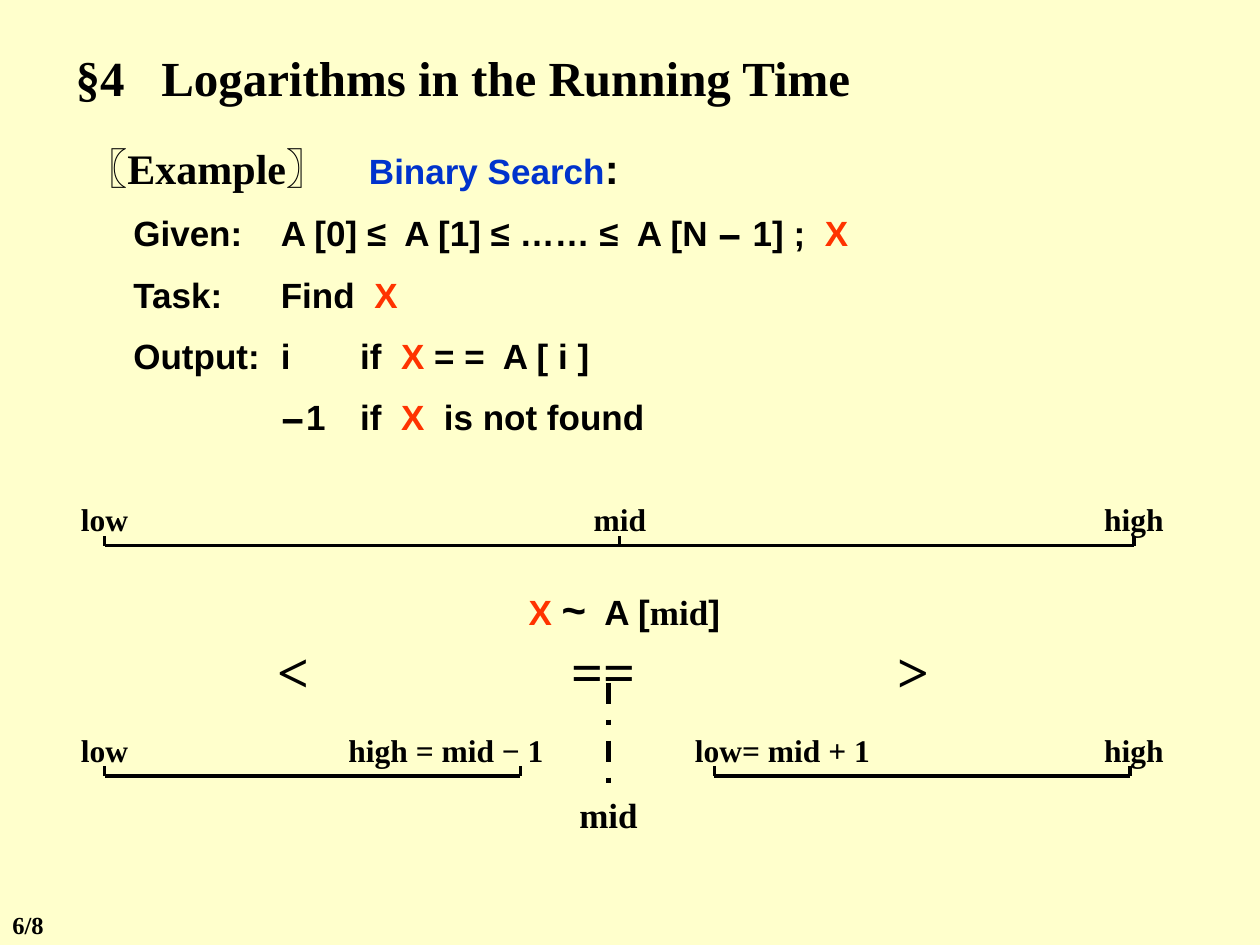
import pptx
import pptx.util
import pptx.dml.color
import pptx.enum.dml
import pptx.enum.shapes
import pptx.enum.text
import pptx.oxml.ns
import lxml.etree

Inches = pptx.util.Inches
Pt = pptx.util.Pt
ALIGN = pptx.enum.text.PP_ALIGN
COLORS = {"paper": "FFFFCC", "ink": "000000", "topic": "0033CC", "key": "FF3300"}
SERIF, SANS, MATH = "Times New Roman", "Arial", "TeX Gyre Adventor"


def rgb(name):
    return pptx.dml.color.RGBColor.from_string(COLORS[name])


def set_tabs(paragraph, stops):
    properties = paragraph._p.get_or_add_pPr()
    tab_list = lxml.etree.SubElement(properties, pptx.oxml.ns.qn("a:tabLst"))
    for stop in stops:
        tab = lxml.etree.SubElement(tab_list, pptx.oxml.ns.qn("a:tab"))
        tab.set("pos", str(Inches(stop)))
        tab.set("algn", "l")


def add_runs(paragraph, pieces):
    for text, size, font, color in pieces:
        run = paragraph.add_run()
        run.text = text
        run.font.size = Pt(size)
        run.font.name = font
        run.font.bold = True
        run.font.color.rgb = rgb(color)


def format_frame(frame, side_inset):
    frame.word_wrap = True
    frame.auto_size = pptx.enum.text.MSO_AUTO_SIZE.NONE
    frame.vertical_anchor = pptx.enum.text.MSO_ANCHOR.TOP
    frame.margin_left = frame.margin_right = Inches(side_inset)
    frame.margin_top = frame.margin_bottom = Inches(0.05)


def add_text(shapes, box, pieces, align=ALIGN.CENTER, side_inset=0):
    frame = shapes.add_textbox(*map(Inches, box)).text_frame
    format_frame(frame, side_inset)
    frame.paragraphs[0].alignment = align
    add_runs(frame.paragraphs[0], pieces)
    return frame


def add_line(shapes, start, end, width=2):
    line = shapes.add_connector(pptx.enum.shapes.MSO_CONNECTOR.STRAIGHT,
                                *map(Inches, (*start, *end)))
    line.line.color.rgb = rgb("ink")
    line.line.width = Pt(width)
    lxml.etree.SubElement(line._element.spPr, pptx.oxml.ns.qn("a:effectLst"))
    return line


def build_title(slide, box):
    title = slide.shapes.title
    title.left, title.top, title.width, title.height = map(Inches, box)
    format_frame(title.text_frame, 0.1)
    heading = title.text_frame.paragraphs[0]
    heading.alignment = ALIGN.LEFT
    set_tabs(heading, [0.68])
    add_runs(heading, [("§4\tLogarithms in the Running Time", 28, SERIF, "ink")])


def build_problem(slide, box):
    def sans(text, color="ink"):
        return text, 20, SANS, color

    minus = ("−", 20, MATH, "ink")
    target = sans("X", "key")
    frame = add_text(slide.shapes, box, [
        ("〖Example〗\t", 24, SERIF, "ink"),
        sans("Binary Search", "topic"),
        (":", 24, SANS, "ink"),
    ], ALIGN.LEFT, 0.1)
    set_tabs(frame.paragraphs[0], [2.25])
    statements = [
        [sans("\tGiven:\tA [0] ≤  A [1] ≤ …… ≤  A [N "), minus, sans(" 1] ;  "), target],
        [sans("\tTask:\tFind  "), target],
        [sans("\tOutput:\ti\tif  "), sans("X ", "key"), sans("= =  A [ i ]")],
        [sans("\t\t"), minus, sans("1\tif  "), target, sans("  is not found")],
    ]
    for pieces in statements:
        statement = frame.add_paragraph()
        statement.space_before = Pt(11)
        set_tabs(statement, [0.38, 1.55, 2.18])
        add_runs(statement, pieces)


def build_range(slide, left, top, width, marks):
    shapes = slide.shapes.add_group_shape().shapes
    baseline = top + 0.41
    add_line(shapes, (left, baseline), (left + width, baseline))
    for text, tick, label_center, label_width in marks:
        x = left + tick * width
        add_line(shapes, (x, baseline), (x, baseline - 0.08))
        add_text(shapes, (left + label_center - label_width / 2, top, label_width, 0.4),
                 [(text, 18, SERIF, "ink")])


def build_comparison(slide, left, top):
    add_text(slide.shapes, (left + 1.25, top, 3.75, 0.5), [
        ("X ", 20, SANS, "key"),
        ("~", 24, SANS, "ink"),
        ("  A [", 20, SANS, "ink"),
        ("mid", 20, SERIF, "ink"),
        ("]", 20, SANS, "ink"),
    ])
    for index, sign in enumerate(("<", "==", ">")):
        add_text(slide.shapes, (left + index * 2.46, top + 0.42, 1, 0.63),
                 [(sign, 32, SERIF, "ink")])
    found_x = left + 3
    link = add_line(slide.shapes, (found_x, top + 0.84), (found_x, top + 1.67), 3)
    link.line.dash_style = pptx.enum.dml.MSO_LINE.DASH_DOT
    add_text(slide.shapes, (found_x - 0.5, top + 1.67, 1, 0.43),
             [("mid", 20, SERIF, "ink")])


def build_page_number(slide, box):
    add_text(slide.shapes, box, [("6/8", 14, SERIF, "ink")], ALIGN.LEFT, 0.1)


presentation = pptx.Presentation()
presentation.slide_width = Inches(10)
presentation.slide_height = Inches(7.5)
slide = presentation.slides.add_slide(presentation.slide_layouts[5])
slide.background.fill.solid()
slide.background.fill.fore_color.rgb = rgb("paper")

build_title(slide, (0.5, 0.33, 7.17, 0.57))
build_problem(slide, (0.58, 1.08, 6.58, 2.6))
build_range(slide, 0.83, 3.92, 8.17, [
    ("low", 0, 0, 0.67), ("mid", 0.5, 4.09, 0.75), ("high", 1, 8.17, 0.67)])
build_comparison(slide, 1.83, 4.58)
build_range(slide, 0.83, 5.75, 3.3, [
    ("low", 0, 0, 0.67), ("high = mid − 1", 1, 2.71, 2.08)])
build_range(slide, 5.67, 5.75, 3.3, [
    ("low= mid + 1", 0, 0.54, 2.08), ("high", 1, 3.33, 0.67)])
build_page_number(slide, (0, 7.17, 0.58, 0.33))

presentation.save("out.pptx")
